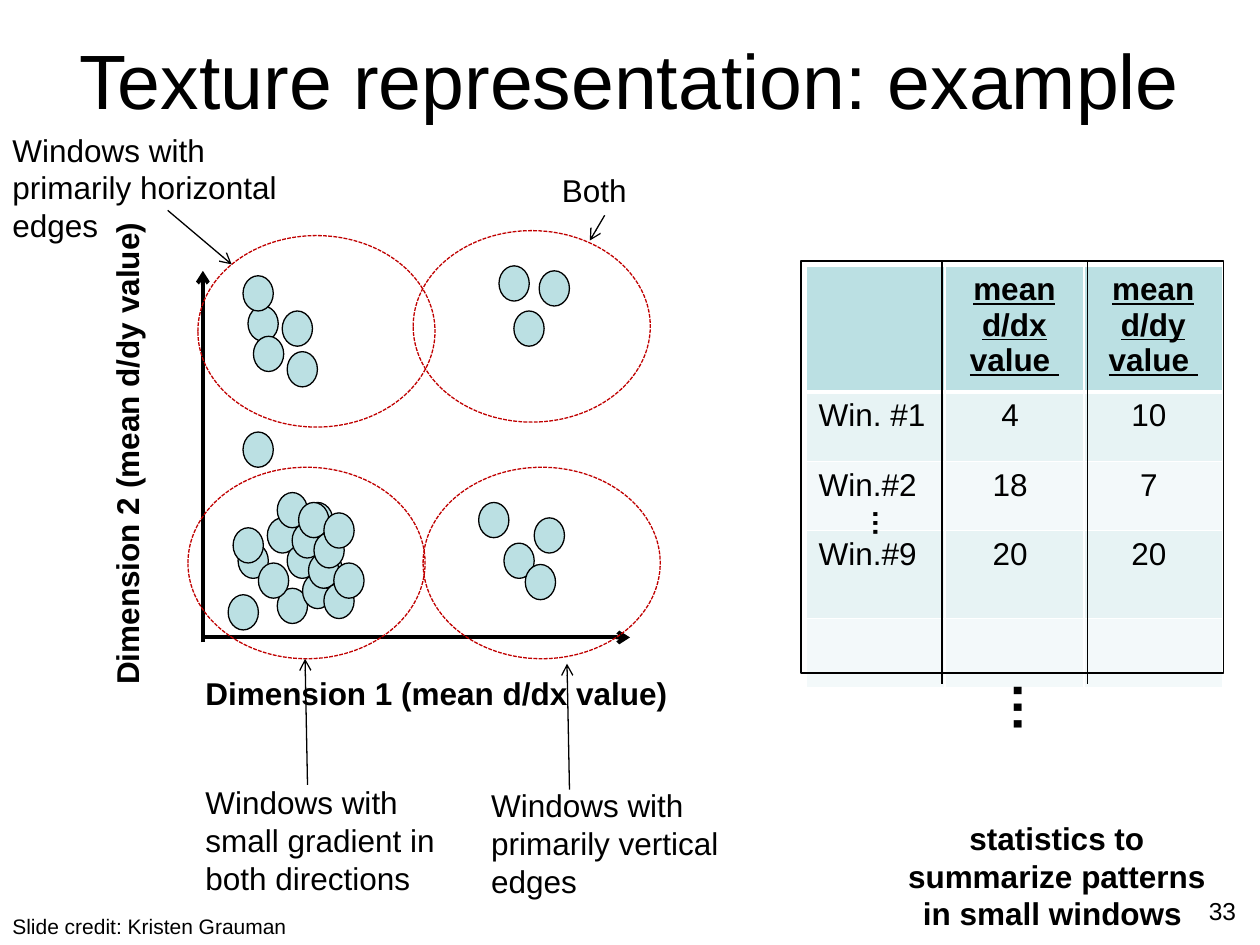
from pptx import Presentation
from pptx.dml.color import RGBColor
from pptx.enum.dml import MSO_LINE
from pptx.enum.shapes import MSO_CONNECTOR, MSO_SHAPE
from pptx.enum.text import MSO_ANCHOR, PP_ALIGN
from pptx.oxml.ns import qn
from pptx.util import Cm, Pt
from lxml import etree

LEFT, CENTER, RIGHT = PP_ALIGN.LEFT, PP_ALIGN.CENTER, PP_ALIGN.RIGHT
OVAL, RECT = MSO_SHAPE.OVAL, MSO_SHAPE.RECTANGLE
FONT = "Arial"
COLORS = {"text": "000000", "dot": "BBE0E3", "cluster": "C00000",
          "header": "BBE0E3", "odd": "E7F3F4", "even": "F3F9FA", "border": "FFFFFF"}

DOT_W, DOT_H = 0.61, 0.71
CLUSTER_W, CLUSTER_H = 4.78, 3.86

# Dot corners in cm from the top of the vertical axis
DOTS = [
    # between the clusters
    (0.81, 3.25),
    # both gradients
    (6.78, 0), (5.97, -0.1), (6.27, 0.81),
    # horizontal edges
    (0.91, 0.71), (1.7, 1.63), (1.6, 0.81), (0.81, 0.1), (1.02, 1.32),
    # vertical edges
    (5.56, 4.67), (6.07, 5.49), (6.68, 4.98), (6.5, 5.92),
    # small gradient
    (0.71, 5.49), (1.5, 6.4), (1.7, 5.49), (2.01, 6.1), (0.51, 6.53), (1.12, 5.89),
    (1.3, 4.98), (2.21, 5.69), (0.61, 5.18), (2.13, 5.69), (2.44, 6.3), (2.64, 5.89),
    (1.5, 4.47), (1.8, 5.08), (2.01, 4.67), (1.93, 4.67), (2.24, 5.28), (2.44, 4.88),
]

# Label, ellipse corner, label corner, label width, arrow start, arrow end
CLUSTERS = [
    ("Windows with small gradient in both directions",
     (-0.3, 3.96), (-0.2, 10.21), 5.28, (2.11, 10.36), (2.06, 7.82)),
    ("Windows with primarily vertical edges",
     (4.44, 3.96), (5.56, 10.26), 5.28, (7.39, 10.46), (7.34, 7.92)),
    ("Windows with primarily horizontal edges",
     (-0.1, -0.71), (-4.09, -2.95), 5.99, (-0.71, -1.22), (0.58, -0.13)),
    ("Both",
     (4.24, -0.81), (6.99, -2.13), 5.28, (8.1, -1.12), (7.8, -0.61)),
]

ROWS = [
    ("", "mean d/dx value ", "mean d/dy value "),
    ("Win. #1", "4", "10"),
    ("Win.#2", "18", "7"),
    ("Win.#9", "20", "20"),
    ("", "", ""),
]
ROW_HEIGHTS = [2.54, 1.4, 1.4, 1.77, 1.4]
COLUMN_W = 2.8


def rgb(name):
    return RGBColor.from_string(COLORS[name])


def style(p, size=18, bold=False, align=LEFT):
    p.alignment = align
    p.font.name, p.font.size, p.font.bold = FONT, Pt(size), bold
    p.font.color.rgb = rgb("text")


def add_text(slide, text, x, y, w, h, size=18, bold=False, align=LEFT, rotation=0):
    sp = slide.shapes.add_textbox(Cm(x), Cm(y), Cm(w), Cm(h))
    sp.rotation = rotation
    tf = sp.text_frame
    tf.word_wrap = True
    p = tf.paragraphs[0]
    p.text = text
    p.line_spacing = Pt(size * 1.2)
    style(p, size, bold, align)


def add_outline(slide, kind, x, y, w, h, line="text", fill=None):
    sp = slide.shapes.add_shape(kind, Cm(x), Cm(y), Cm(w), Cm(h))
    sp.shadow.inherit = False
    if fill:
        sp.fill.solid()
        sp.fill.fore_color.rgb = rgb(fill)
    else:
        sp.fill.background()
    sp.line.color.rgb = rgb(line)
    sp.line.width = Pt(0.75)
    return sp


def add_line(slide, x1, y1, x2, y2, width=0.75, arrow=False):
    line = slide.shapes.add_connector(MSO_CONNECTOR.STRAIGHT, Cm(x1), Cm(y1), Cm(x2), Cm(y2))
    line.line.color.rgb = rgb("text")
    line.line.width = Pt(width)
    if arrow:
        etree.SubElement(line.line._get_or_add_ln(), qn("a:tailEnd"), type="arrow")
    etree.SubElement(line._element.spPr, qn("a:effectLst"))


def set_borders(cell, bottom):
    """Draw white cell borders, with the bottom one of the given width in points."""
    tcPr = cell._tc.get_or_add_tcPr()
    for i, (side, width) in enumerate((("L", 1), ("R", 1), ("T", 1), ("B", bottom))):
        ln = etree.Element(qn("a:ln" + side), w=str(Pt(width)))
        fill = etree.SubElement(ln, qn("a:solidFill"))
        etree.SubElement(fill, qn("a:srgbClr"), val=COLORS["border"])
        tcPr.insert(i, ln)


def add_title(slide, text, w, h):
    title = slide.shapes.title
    title.left, title.top, title.width, title.height = Cm(0), Cm(0), Cm(w), Cm(h)
    tf = title.text_frame
    tf.text = text
    tf.vertical_anchor = MSO_ANCHOR.MIDDLE
    tf.paragraphs[0].line_spacing = Pt(52.8)
    style(tf.paragraphs[0], 44, align=CENTER)


def add_statistics_table(slide, x, y, w, h):
    shape = slide.shapes.add_table(len(ROWS), 3, Cm(x + 0.1), Cm(y + 0.1),
                                   Cm(3 * COLUMN_W), Cm(sum(ROW_HEIGHTS)))
    table = shape.table
    table.first_row = table.horz_banding = False
    for column in table.columns:
        column.width = Cm(COLUMN_W)
    for i, (texts, height) in enumerate(zip(ROWS, ROW_HEIGHTS)):
        table.rows[i].height = Cm(height)
        header = i == 0
        for j, text in enumerate(texts):
            cell = table.cell(i, j)
            cell.text = text
            cell.fill.solid()
            cell.fill.fore_color.rgb = rgb("header" if header else "odd" if i % 2 else "even")
            set_borders(cell, 3 if header else 1)
            p = cell.text_frame.paragraphs[0]
            style(p, bold=header, align=CENTER if j else LEFT)
            p.font.underline = header
            if j and not header:
                cell.margin_right = Cm(0.43)

    add_text(slide, "…", x + 2.41, y + 9.73, 4.57, 1.55, 30, True, rotation=90)
    add_outline(slide, RECT, x, y, w, h)
    for dx in (2.84, 5.77):
        add_line(slide, x + dx, y, x + dx, y + 8.53)
    add_text(slide, "…", x - 2.49, y + 8.46, 8.33, 0.94, 16, True, rotation=90)


def add_scatter(slide, x, y, w, h):
    """Draw axes, dots and labelled clusters; (x, y) is the top of the vertical axis."""
    add_line(slide, x, y + h, x + w, y + h, 2.25, True)
    add_line(slide, x, y + h + 0.1, x, y, 2.25, True)
    add_text(slide, "Dimension 1 (mean d/dx value)", x - 0.2, y + 8, 12.47, 1.02, bold=True)
    add_text(slide, "Dimension 2 (mean d/dy value)", x - 7.77, y + 1.85, 12.47, 1.02,
             bold=True, rotation=270)
    for dx, dy in DOTS:
        add_outline(slide, OVAL, x + dx, y + dy, DOT_W, DOT_H, fill="dot")
    for label, (ex, ey), (lx, ly), label_w, (x1, y1), (x2, y2) in CLUSTERS:
        ellipse = add_outline(slide, OVAL, x + ex, y + ey, CLUSTER_W, CLUSTER_H, "cluster")
        ellipse.line.dash_style = MSO_LINE.SQUARE_DOT
        # sysDash is the short dash of the cluster outlines
        ellipse.line._get_or_add_ln().find(qn("a:prstDash")).set("val", "sysDash")
        add_text(slide, label, x + lx, y + ly, label_w, 1.02 if label == "Both" else 2.57)
        add_line(slide, x + x1, y + y1, x + x2, y + y2, arrow=True)


def main():
    prs = Presentation()
    prs.slide_width, prs.slide_height = Cm(25.4), Cm(19.05)
    slide = prs.slides.add_slide(prs.slide_layouts[5])
    add_title(slide, "Texture representation: example", 25.4, 3.18)
    add_text(slide, "statistics to summarize patterns in small windows ",
             17.75, 16.38, 7.11, 2.57, bold=True, align=CENTER)
    add_statistics_table(slide, 16.15, 5.26, 8.51, 8.31)
    add_scatter(slide, 4.09, 5.46, 8.61, 7.39)
    add_text(slide, "Slide credit: Kristen Grauman", 0, 18.29, 11.63, 0.76, 12)
    add_text(slide, "33", 19.25, 17.93, 5.92, 1.32, 14, align=RIGHT)
    prs.save("out.pptx")


if __name__ == "__main__":
    main()
